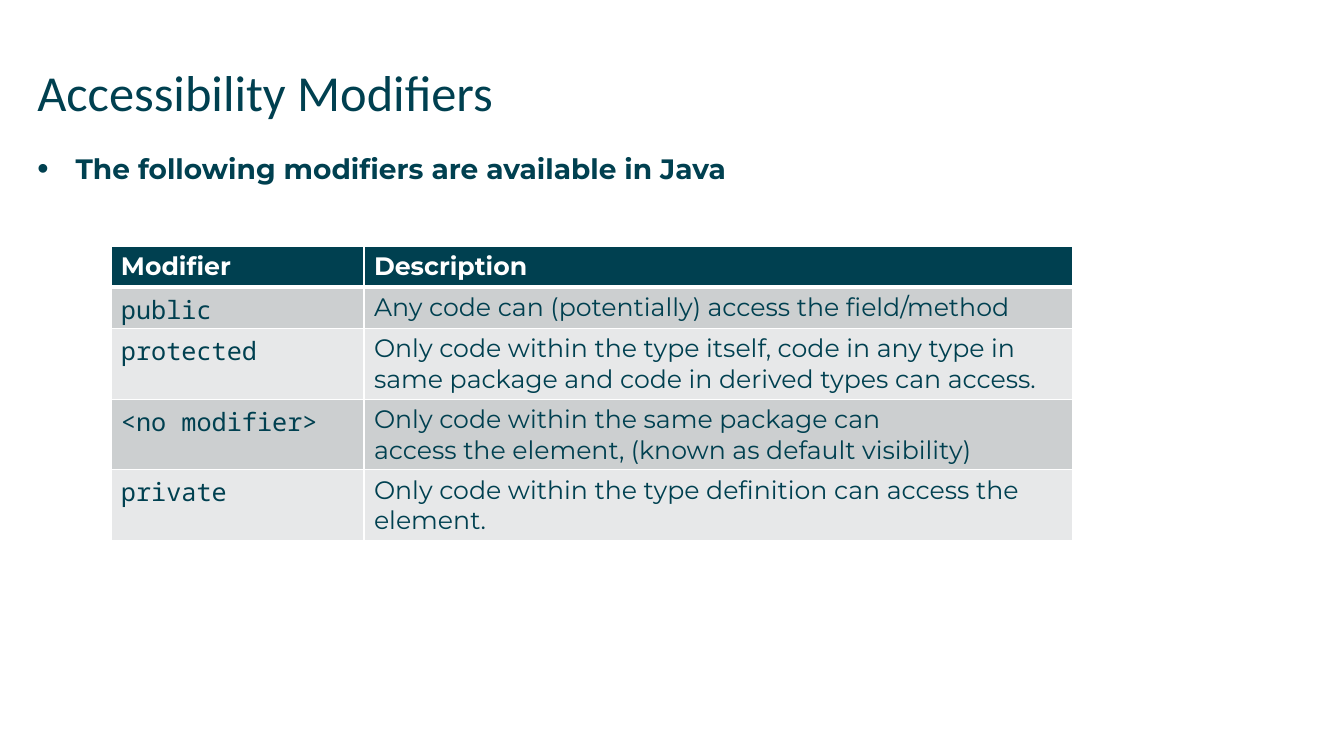
from pptx import Presentation
from pptx.dml.color import RGBColor
from pptx.enum.text import MSO_ANCHOR
from pptx.oxml import parse_xml
from pptx.oxml.ns import nsdecls
from pptx.util import Inches, Pt
from pptx.enum.text import PP_ALIGN

TOP, LEFT = MSO_ANCHOR.TOP, PP_ALIGN.LEFT
COLORS = {"teal": "004050", "white": "FFFFFF", "dark_band": "CCCFD0", "light_band": "E7E8E9"}
MODIFIERS = [
    ("Modifier", "Description"),
    ("public", "Any code can (potentially) access the field/method"),
    ("protected", "Only code within the type itself, code in any type in same package "
                  "and code in derived types can access."),
    ("<no modifier>", "Only code within the same package can \v"
                      "access the element, (known as default visibility)"),
    ("private", "Only code within the type definition can access the element."),
]


def format_text(tf, font, size, color, bold=False):
    for p in tf.paragraphs:
        p.alignment = LEFT
        for r in p.runs:
            r.font.name, r.font.size, r.font.bold = font, Pt(size), bold
            r.font.color.rgb = RGBColor.from_string(COLORS[color])


def set_frame(sp, left, top, width, height):
    sp.left, sp.top, sp.width, sp.height = map(Inches, (left, top, width, height))
    tf = sp.text_frame
    tf.margin_left = tf.margin_right = tf.margin_top = tf.margin_bottom = 0
    tf.word_wrap, tf.vertical_anchor = True, TOP
    return tf


prs = Presentation()
prs.slide_width, prs.slide_height = Inches(13.33), Inches(7.5)
s = prs.slides.add_slide(prs.slide_layouts[5])

# Title
tf = set_frame(s.shapes.title, 0.37, 0.61, 12.6, 0.88)
tf.text = "Accessibility Modifiers"
format_text(tf, "Calibri", 36, "teal")

# Bulleted introduction
tf = set_frame(s.shapes.add_textbox(0, 0, 0, 0), 0.37, 1.5, 10.27, 0.88)
tf.text = "The following modifiers are available in Java"
format_text(tf, "Montserrat", 20, "teal", bold=True)
p = tf.paragraphs[0]
p.space_after = Pt(6.5)
pPr = p._p.get_or_add_pPr()
pPr.set("marL", str(Inches(0.38)))
pPr.set("indent", str(Inches(-0.38)))
for bullet in ('a:buSzPct {} val="115000"', 'a:buFont {} typeface="Arial"', 'a:buChar {} char="•"'):
    pPr.append(parse_xml("<" + bullet.format(nsdecls("a")) + "/>"))

# Table of modifiers
table = s.shapes.add_table(len(MODIFIERS), 2, Inches(1.1), Inches(2.44),
                           Inches(9.54), Inches(0.41 * len(MODIFIERS))).table
for column, width in zip(table.columns, (2.51, 7.03)):
    column.width = Inches(width)

for i, row in enumerate(MODIFIERS):
    header = i == 0
    band = "teal" if header else ("light_band", "dark_band")[i % 2]
    for j, text in enumerate(row):
        cell = table.cell(i, j)
        cell.text = text
        font = "Noto Sans Mono" if j == 0 and not header else "Montserrat"
        format_text(cell.text_frame, font, 18, "white" if header else "teal", bold=header)

        # White borders, thicker around the line below the header
        tcPr = cell._tc.get_or_add_tcPr()
        for side in "LRTB":
            thick = (i, side) in ((0, "B"), (1, "T"))
            tcPr.append(parse_xml(
                f'<a:ln{side} {nsdecls("a")} w="{Pt(3 if thick else 1)}"><a:solidFill>'
                f'<a:srgbClr val="{COLORS["white"]}"/></a:solidFill></a:ln{side}>'))
        cell.fill.solid()
        cell.fill.fore_color.rgb = RGBColor.from_string(COLORS[band])

prs.save("out.pptx")
